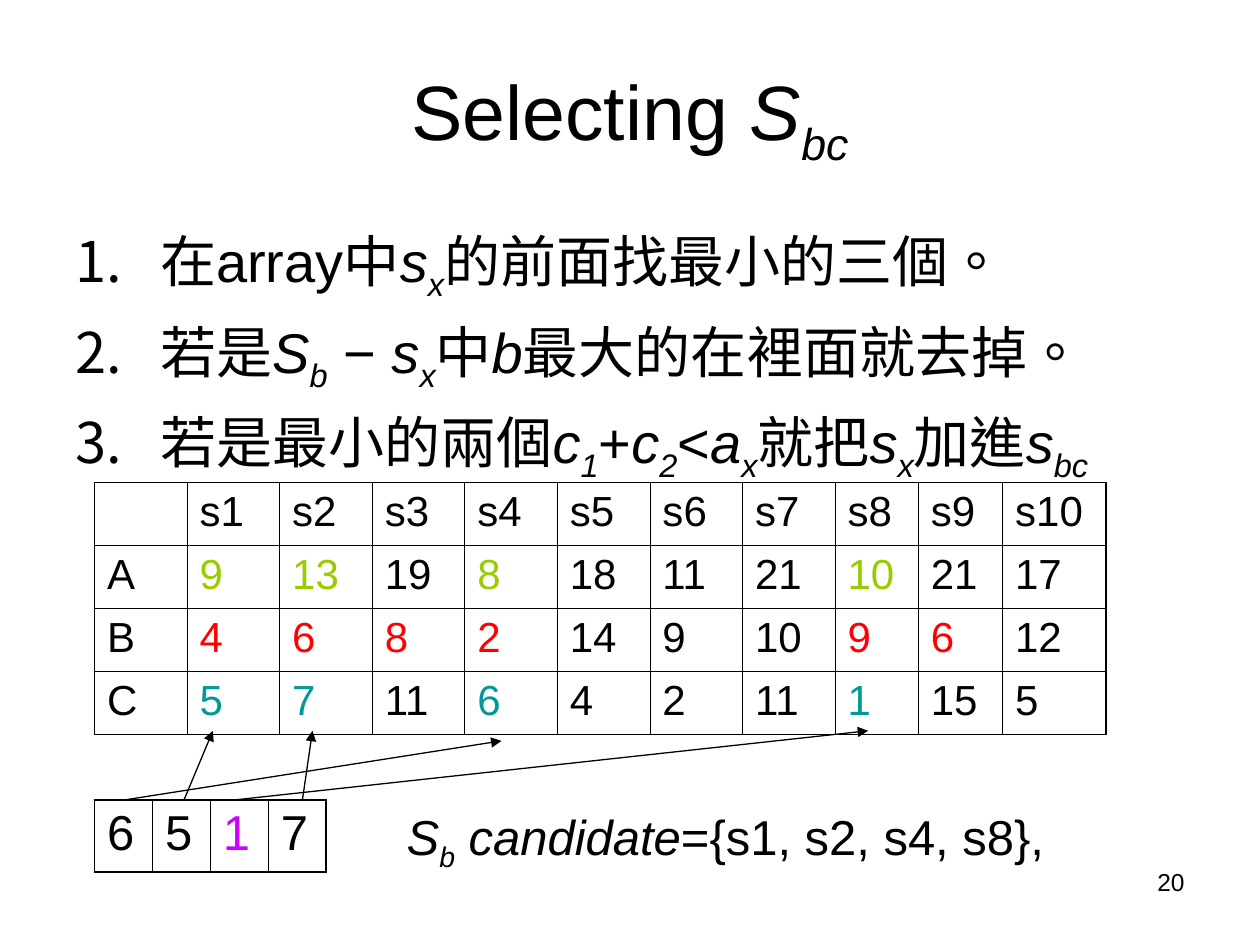
from dataclasses import dataclass

from lxml import etree
from pptx import Presentation
from pptx.dml.color import RGBColor
from pptx.enum import shapes, text
from pptx.oxml import ns
from pptx.util import Inches, Pt


@dataclass(frozen=True)
class Theme:
    font: str = "Arial"
    black: str = "000000"
    lime: str = "99CC00"
    red: str = "FF0000"
    teal: str = "009999"
    violet: str = "CC00FF"
    title: int = 44
    body: int = 32
    label: int = 28
    cell: int = 24
    number: int = 14
    thin: float = 0.45
    thick: float = 1.08
    arrow: float = 0.75


T = Theme()

STEPS = [
    "在array中*s_x*的前面找最小的三個。",
    "若是*S_b* − *s_x*中*b*最大的在裡面就去掉。",
    "若是最小的兩個*c_1*+*c_2*<*a_x*就把*s_x*加進*s_bc*",
]
# Row label, values, highlight colour, highlighted columns
COSTS = [
    ("A", [9, 13, 19, 8, 18, 11, 21, 10, 21, 17], T.lime, {1, 2, 4, 8}),
    ("B", [4, 6, 8, 2, 14, 9, 10, 9, 6, 12], T.red, {1, 2, 3, 4, 8, 9}),
    ("C", [5, 7, 11, 6, 4, 2, 11, 1, 15, 5], T.teal, {1, 2, 4, 8}),
]
COST_COLS = [5.88 / 8] * 8 + [0.66, 0.67, 0.82]
# Start x in the candidate row, then the end point under the cost table
ARROWS = [(0.98, 3.98, 5.88), (1.46, 1.69, 5.8), (1.85, 6.89, 5.8), (2.4, 2.48, 5.8)]
CANDIDATE_TOP = 6.35


def sub(parent, tag, **attrs):
    return etree.SubElement(parent, ns.qn(tag), **attrs)


def style(r, size, color=T.black):
    r.font.name = T.font
    r.font.size = Pt(size)
    r.font.color.rgb = RGBColor.from_string(color)


def write_math(p, markup, size):
    """Write text where *...* is italic and _ starts a subscript inside it."""
    for i, part in enumerate(markup.split("*")):
        for j, piece in enumerate(part.split("_")):
            if not piece:
                continue
            r = p.add_run()
            r.text = piece
            style(r, size)
            r.font.italic = i % 2 == 1
            props = r._r.get_or_add_rPr()
            props.set("lang", "zh-TW")
            if j:
                props.set("baseline", "-25000")


def place(sp, left, top, width, height):
    sp.left, sp.top = Inches(left), Inches(top)
    sp.width, sp.height = Inches(width), Inches(height)
    sp.text_frame.auto_size = text.MSO_AUTO_SIZE.NONE


def number_paragraph(p, indent):
    props = p._p.get_or_add_pPr()
    props.set("marL", str(Inches(indent)))
    props.set("indent", str(-Inches(indent)))
    sub(sub(props, "a:buClr"), "a:srgbClr", val=T.black)
    sub(props, "a:buFontTx")
    sub(props, "a:buAutoNum", type="arabicPeriod")


def add_steps(sp):
    tf = sp.text_frame
    for i, step in enumerate(STEPS):
        p = tf.paragraphs[0] if i == 0 else tf.add_paragraph()
        number_paragraph(p, 0.67)
        p.space_before = Pt(8 if i else 0)
        write_math(p, step, T.body)


def set_borders(cell, left, right, top, bottom):
    props = cell._tc.get_or_add_tcPr()
    widths = {"a:lnL": left, "a:lnR": right, "a:lnT": top, "a:lnB": bottom}
    for i, (tag, width) in enumerate(widths.items()):
        ln = etree.Element(ns.qn(tag), w=str(Pt(width)))
        sub(sub(ln, "a:solidFill"), "a:srgbClr", val=T.black)
        props.insert(i, ln)


def add_grid(s, left, top, widths, row_height, rows, size, top_line):
    """Add a table; rows hold (text, colour) pairs."""
    n_rows, n_cols = len(rows), len(widths)
    frame = s.shapes.add_table(n_rows, n_cols, Inches(left), Inches(top),
                               Inches(sum(widths)), Inches(row_height * n_rows))
    table = frame.table
    table.first_row = table.horz_banding = False
    for column, width in zip(table.columns, widths):
        column.width = Inches(width)
    for y, row in enumerate(rows):
        for x, (value, color) in enumerate(row):
            cell = table.cell(y, x)
            cell.text = value
            for r in cell.text_frame.paragraphs[0].runs:
                style(r, size, color)
            cell.fill.background()
            set_borders(cell,
                        T.thick if x == 0 else T.thin,
                        T.thick if x == n_cols - 1 else T.thin,
                        top_line if y == 0 else T.thin,
                        T.thick if y == n_rows - 1 else T.thin)


def cost_rows():
    header = [("", T.black)] + [(f"s{i}", T.black) for i in range(1, 11)]
    rows = [header]
    for label, values, color, marked in COSTS:
        cells = [(str(v), color if i in marked else T.black)
                 for i, v in enumerate(values, 1)]
        rows.append([(label, T.black)] + cells)
    return rows


def add_arrow(s, x1, y1, x2, y2):
    c = s.shapes.add_connector(shapes.MSO_CONNECTOR.STRAIGHT,
                               Inches(x1), Inches(y1), Inches(x2), Inches(y2))
    c.line.color.rgb = RGBColor.from_string(T.black)
    c.line.width = Pt(T.arrow)
    sub(c.line._get_or_add_ln(), "a:tailEnd", type="triangle")
    sub(c._element.spPr, "a:effectLst")


def add_label(s, left, top, width, height, markup, size, align):
    sp = s.shapes.add_textbox(Inches(left), Inches(top), Inches(width), Inches(height))
    sp.text_frame.word_wrap = True
    p = sp.text_frame.paragraphs[0]
    p.alignment = align
    write_math(p, markup, size)


def main():
    prs = Presentation()
    prs.slide_width, prs.slide_height = Inches(10), Inches(7.5)
    s = prs.slides.add_slide(prs.slide_layouts[1])

    # Title and numbered steps
    title, body = s.shapes.title, s.placeholders[1]
    place(title, 0.5, 0.3, 9, 1.25)
    title.text_frame.vertical_anchor = text.MSO_ANCHOR.MIDDLE
    write_math(title.text_frame.paragraphs[0], "Selecting *S_bc*", T.title)
    place(body, 0.5, 1.75, 9, 4.95)
    add_steps(body)

    # Cost table and candidate row
    add_grid(s, 0.75, 3.83, COST_COLS, 0.5, cost_rows(), T.cell, T.thin)
    candidates = [("6", T.black), ("5", T.black), ("1", T.violet), ("7", T.black)]
    add_grid(s, 0.75, CANDIDATE_TOP, [0.46] * 4, 0.57, [candidates], T.label, T.thick)

    # Candidate set and arrows to its columns
    add_label(s, 3.13, CANDIDATE_TOP, 5.26, 0.63,
              "*S_b** candidate*={s1, s2, s4, s8},", T.label, text.PP_ALIGN.LEFT)
    for start, x, y in ARROWS:
        add_arrow(s, start, CANDIDATE_TOP, x, y)

    # Slide number
    add_label(s, 7.17, 6.83, 2.33, 0.52, "20", T.number, text.PP_ALIGN.RIGHT)
    prs.save("out.pptx")


if __name__ == "__main__":
    main()
